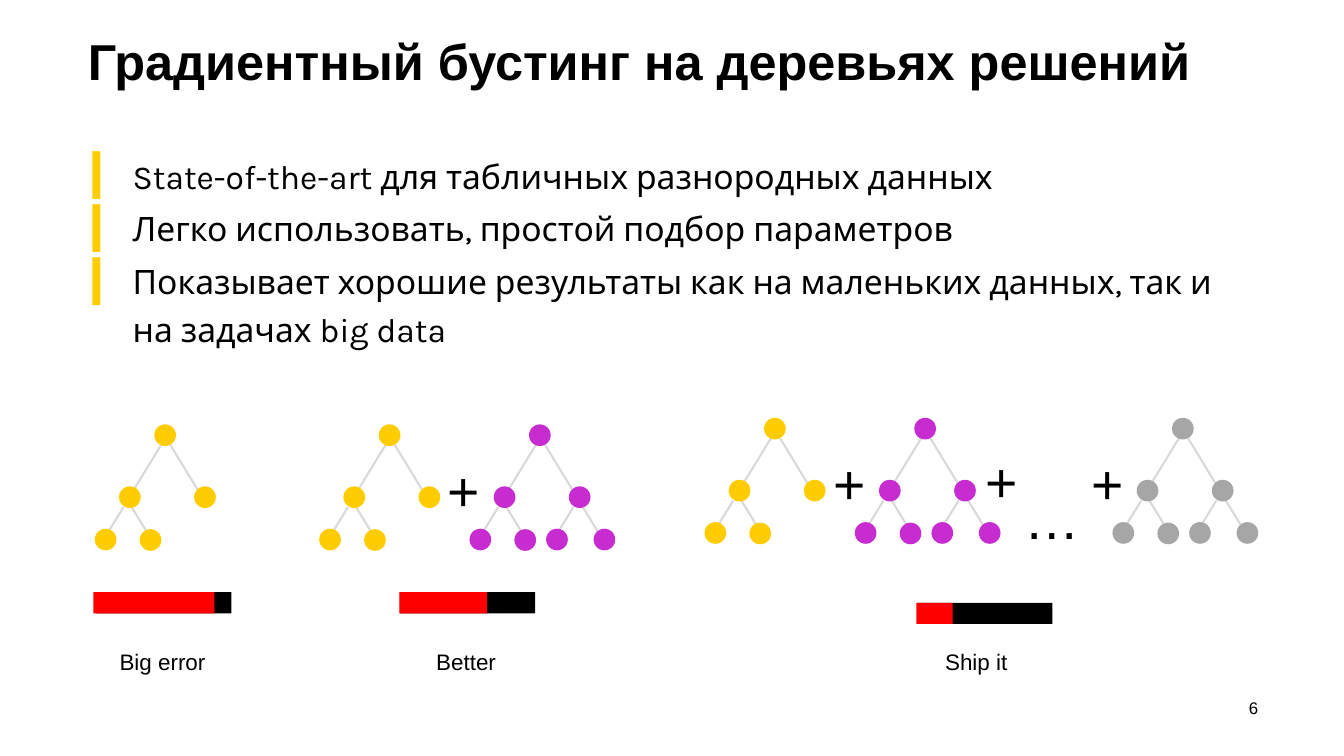
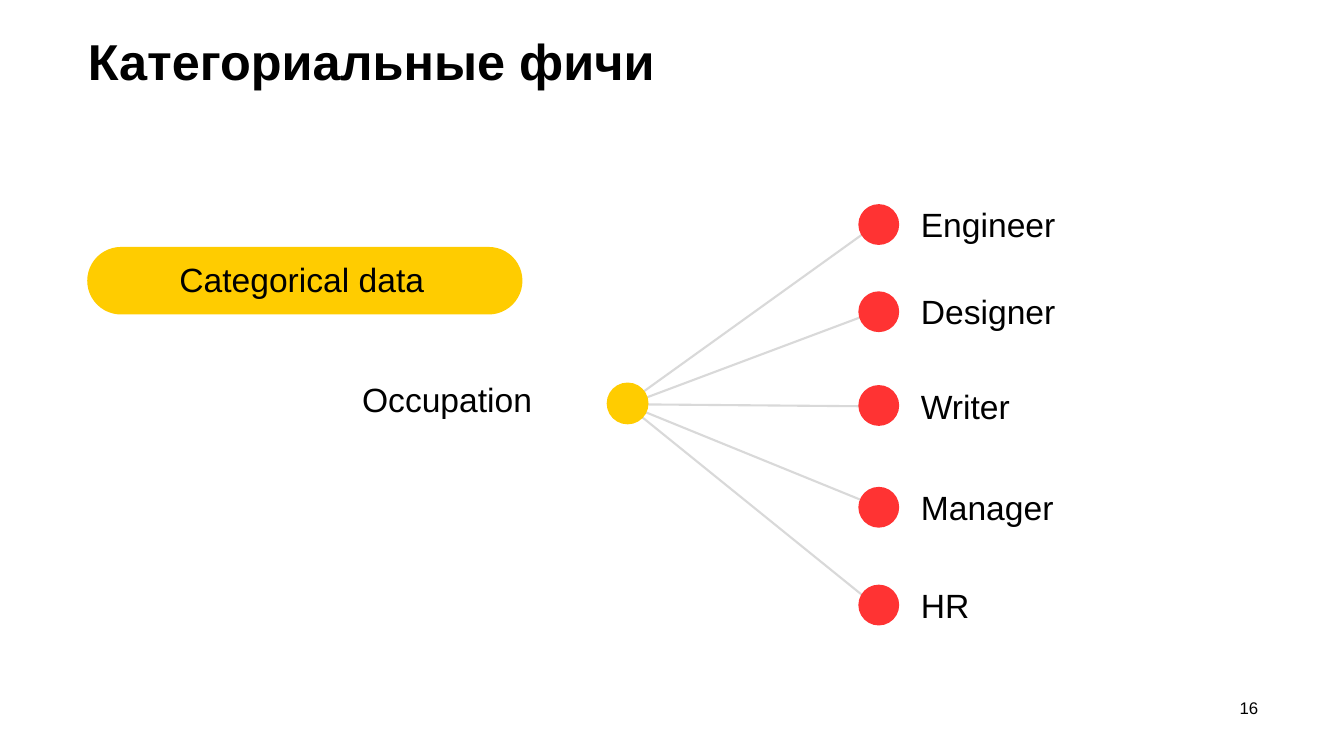
from dataclasses import dataclass

from lxml import etree
from pptx import Presentation
from pptx.dml.color import RGBColor
from pptx.enum.shapes import MSO_CONNECTOR, MSO_SHAPE
from pptx.enum.text import MSO_ANCHOR, PP_ALIGN
from pptx.oxml.ns import qn
from pptx.util import Pt

SCALE = 9144  # EMU in one px, 100 px to the inch
WIDE, HIGH = 2665, 1500
LINE = MSO_CONNECTOR.STRAIGHT
OVAL, RECT, PILL = MSO_SHAPE.OVAL, MSO_SHAPE.RECTANGLE, MSO_SHAPE.ROUNDED_RECTANGLE
TOP, MIDDLE = MSO_ANCHOR.TOP, MSO_ANCHOR.MIDDLE
LEFT, CENTER, RIGHT = PP_ALIGN.LEFT, PP_ALIGN.CENTER, PP_ALIGN.RIGHT


@dataclass(frozen=True)
class Theme:
    ink: str = "000000"
    gold: str = "FFCC00"
    plum: str = "C62CD0"
    gray: str = "A6A6A6"
    edge: str = "D9D9D9"
    error: str = "FF0000"
    coral: str = "FF3333"
    font: str = "Arial"
    accent: str = "Karla"
    title: int = 72
    sign: int = 79
    body: int = 48
    label: int = 32
    page: int = 24
    stroke: int = 3


# Tree parts, measured from the tree's top left corner
DOT = 43
NODES = [(0, 207), (89, 208), (118, 0), (197, 123), (48, 123)]
EDGES = [(74, 135, 132, 40), (206, 133, 150, 41),
         (24, 218, 57, 164), (106, 218, 73, 164)]
MORE_NODES = [(152, 207), (246, 207)]
MORE_EDGES = [(257, 217, 224, 163), (173, 218, 206, 164)]


def px(*nums):
    return [num * SCALE for num in nums]


def put(item, vals):
    for name, val in vals.items():
        setattr(item, name, val)


class Deck:
    def __init__(self, theme):
        self.theme = theme
        self.file = Presentation()
        size = px(WIDE, HIGH)
        put(self.file, dict(zip(("slide_width", "slide_height"), size)))
        self.slide = None

    def page(self, title, num):
        """Start a slide with its title and page number."""
        look = self.theme
        self.slide = self.file.slides.add_slide(self.file.slide_layouts[6])
        self.text(title, (174, 60, 2322, 159), look.title, inset=0, bold=True)
        self.text(num, (2455, 1386, 40, 38), look.page, inset=0,
                  align=RIGHT, anchor=MIDDLE)

    def text(self, words, box, size, inset=5, align=LEFT, anchor=TOP,
             wrap=True, bold=False, font=None):
        frame = self.slide.shapes.add_textbox(*px(*box)).text_frame
        gap = inset * SCALE
        put(frame, {"word_wrap": wrap, "vertical_anchor": anchor,
                    "margin_left": gap, "margin_right": gap,
                    "margin_top": gap, "margin_bottom": gap})
        lines = [words] if isinstance(words, str) else words
        for i, line in enumerate(lines):
            para = frame.add_paragraph() if i else frame.paragraphs[0]
            para.alignment = align
            run = para.add_run()
            run.text = line
            put(run.font, {"name": font or self.theme.font,
                           "size": Pt(size), "bold": bold})
            run.font.color.rgb = RGBColor.from_string(self.theme.ink)
        return frame

    def list(self, lines, box):
        look = self.theme
        frame = self.text(lines, box, look.body, anchor=MIDDLE, font=look.accent)
        indent = 79 * SCALE
        for para in frame.paragraphs:
            put(para, {"level": 1, "line_spacing": 1.2, "space_before": Pt(6)})
            props = para._p.get_or_add_pPr()
            props.set("marL", str(indent))
            props.set("indent", str(-indent))
            color = etree.SubElement(props, qn("a:buClr"))
            etree.SubElement(color, qn("a:srgbClr"), val=look.gold)
            etree.SubElement(props, qn("a:buSzPct"), val="120000")
            etree.SubElement(props, qn("a:buFont"), typeface=look.font)
            etree.SubElement(props, qn("a:buChar"), char="▎")

    def shape(self, kind, box, color):
        item = self.slide.shapes.add_shape(kind, *px(*box))
        item.shadow.inherit = False
        item.fill.solid()
        item.fill.fore_color.rgb = RGBColor.from_string(color)
        item.line.fill.background()
        return item

    def dot(self, x, y, size, color):
        self.shape(OVAL, (x, y, size, size), color)

    def line(self, *ends):
        item = self.slide.shapes.add_connector(LINE, *px(*ends))
        item.line.color.rgb = RGBColor.from_string(self.theme.edge)
        item.line.width = Pt(self.theme.stroke)
        etree.SubElement(item._element.spPr, qn("a:effectLst"))

    def tree(self, x, y, color, full=True):
        """Draw a tree; a full one has leaves on its right branch too."""
        for x1, y1, x2, y2 in EDGES + (MORE_EDGES if full else []):
            self.line(x + x1, y + y1, x + x2, y + y2)
        for dx, dy in NODES + (MORE_NODES if full else []):
            self.dot(x + dx, y + dy, DOT, color)

    def meter(self, x, y, start, part):
        """Draw a black bar with a red share that begins at start."""
        self.shape(RECT, (x, y, 268, 42), self.theme.ink)
        self.shape(RECT, (start, y, part, 42), self.theme.error)


def boost(deck):
    look = deck.theme
    deck.page("Градиентный бустинг на деревьях решений", "6")
    for x, y in [(188, 842), (633, 842), (1397, 829)]:
        deck.tree(x, y, look.gold, full=False)
    for x, y, color in [(931, 842, look.plum), (1695, 829, look.plum),
                        (2206, 829, look.gray)]:
        deck.tree(x, y, color)
    for x, y in [(883, 900), (1648, 887), (1949, 883), (2159, 887)]:
        deck.text("+", (x, y, 69, 134), look.sign)
    deck.text("…", (2026, 955, 120, 134), look.sign)
    for bar in [(191, 1175, 185, 240), (793, 1175, 792, 174),
                (1819, 1196, 1817, 72)]:
        deck.meter(*bar)
    for words, x, wide in [("Big error", 232, 182), ("Better", 860, 130),
                           ("Ship it", 1869, 488)]:
        deck.text(words, (x, 1282, wide, 60), look.label, wrap=wide > 200)
    deck.list(["State-of-the-art для табличных разнородных данных",
               "Легко использовать, простой подбор параметров",
               "Показывает хорошие результаты как на маленьких данных, "
               "так и на задачах big data"], (179, 291, 2311, 405))


def jobs(deck):
    look = deck.theme
    deck.page("Категориальные фичи", "16")
    rows = [("Engineer", 405, 399, (1244, 800, 1710, 465)),
            ("Designer", 578, 573, (1244, 803, 1705, 630)),
            ("Writer", 764, 761, (1227, 802, 1703, 806)),
            ("Manager", 966, 961, (1251, 806, 1705, 991)),
            ("HR", 1160, 1155, (1244, 804, 1710, 1181))]
    for job, dot, top, ray in rows:
        deck.line(*ray)
        deck.dot(1702, dot, 81, look.coral)
        deck.text(job, (1821, top, 670, 84), look.body)
    deck.text("Occupation", (713, 747, 450, 84), look.body)
    pill = deck.shape(PILL, (173, 490, 863, 134), look.gold)
    pill.adjustments[0] = 0.5
    deck.text("Categorical data", (195, 508, 807, 84), look.body, align=CENTER)
    deck.dot(1203, 759, 83, look.gold)


def main():
    deck = Deck(Theme())
    boost(deck)
    jobs(deck)
    deck.file.save("out.pptx")


if __name__ == "__main__":
    main()
